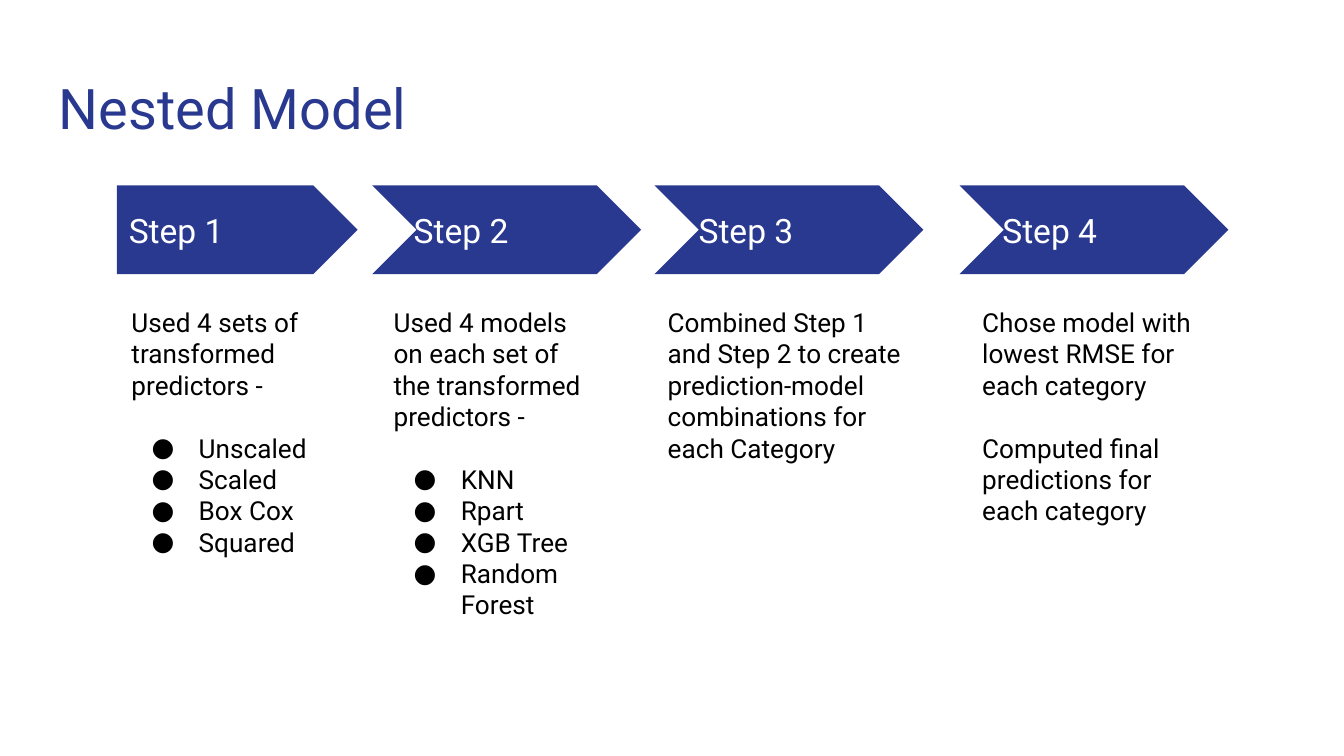
from dataclasses import dataclass

from lxml.etree import SubElement
from pptx import Presentation
from pptx.dml.color import RGBColor as RGB
from pptx.enum.shapes import MSO_SHAPE as Shape
from pptx.enum.text import MSO_ANCHOR as Anchor
from pptx.oxml.ns import qn
from pptx.util import Inches, Pt


@dataclass(frozen=True)
class Theme:
    font: str = "Roboto"
    blue: RGB = RGB(0x2A, 0x39, 0x90)
    white: RGB = RGB(255, 255, 255)
    black: RGB = RGB(0, 0, 0)
    title: int = 30
    step: int = 18
    body: int = 14
    gap: float = 16.8  # one body line


class Deck:
    def __init__(self, theme, width, height):
        self.theme = theme
        self.file = Presentation()
        self.file.slide_width = Inches(width)
        self.file.slide_height = Inches(height)
        self.slide = self.file.slides.add_slide(self.file.slide_layouts[6])
        fill = self.slide.background.fill
        fill.solid()
        fill.fore_color.rgb = theme.white

    def text(self, box, lines, size, color, anchor=Anchor.TOP):
        frame = self.slide.shapes.add_textbox(*map(Inches, box)).text_frame
        frame.word_wrap = True
        frame.vertical_anchor = anchor
        frame.margin_left = frame.margin_right = Inches(0.1)
        frame.margin_top = frame.margin_bottom = Inches(0.1)
        frame.text = "\n".join(lines)
        for para in frame.paragraphs:
            para.font.name = self.theme.font
            para.font.size = Pt(size)
            para.font.color.rgb = color
        return frame.paragraphs

    def arrow(self, kind, box):
        shape = self.slide.shapes.add_shape(kind, *map(Inches, box))
        shape.shadow.inherit = False
        shape.adjustments[0] = 0.5
        shape.fill.solid()
        shape.fill.fore_color.rgb = self.theme.blue
        shape.line.fill.background()

    def bullet(self, para):
        props = para._p.get_or_add_pPr()
        props.set("marL", str(Inches(0.5)))
        props.set("indent", str(Inches(-0.35)))
        color = SubElement(props, qn("a:buClr"))
        SubElement(color, qn("a:srgbClr")).set("val", str(self.theme.black))
        SubElement(props, qn("a:buFont")).set("typeface", self.theme.font)
        SubElement(props, qn("a:buChar")).set("char", "●")
        # Text defaults come after the bullet in the schema
        props.append(props.find(qn("a:defRPr")))

    def notes(self, box, intro, items):
        paras = self.text(box, intro + items, self.theme.body, self.theme.black)
        # One line of space parts the introduction from what follows
        if len(paras) > 1:
            paras[0].space_after = Pt(self.theme.gap)
        for para in paras[len(intro):]:
            self.bullet(para)


# Arrow (left, width), label (left, width), notes (left, width, height), intro, bullets
STEPS = [
    ((0.87, 1.79), (0.86, 1.01), (0.88, 1.79, 2.04),
     ["Used 4 sets of transformed predictors -"],
     ["Unscaled", "Scaled", "Box Cox", "Squared"]),
    ((2.77, 2), (2.98, 1.64), (2.83, 1.72, 2.45),
     ["Used 4 models on each set of the transformed predictors -"],
     ["KNN", "Rpart", "XGB Tree", "Random Forest"]),
    ((4.87, 2), (5.1, 1.64), (4.87, 2, 2.12),
     ["Combined Step 1 and Step 2 to create prediction-model "
      "combinations for each Category"], []),
    ((7.14, 2), (7.36, 1.64), (7.21, 1.79, 2.94),
     ["Chose model with lowest RMSE for each category",
      "Computed final predictions for each category"], []),
]


def main():
    theme = Theme()
    deck = Deck(theme, 10, 10 * 9 / 16)

    # Title
    deck.text((0.34, 0.45, 9.32, 0.66), ["Nested Model"], theme.title, theme.blue)

    # Steps: arrow, label and notes
    for num, (arrow, label, notes, intro, items) in enumerate(STEPS, 1):
        kind = Shape.PENTAGON if num == 1 else Shape.CHEVRON
        deck.arrow(kind, (arrow[0], 1.38, arrow[1], 0.66))
        deck.text((label[0], 1.54, label[1], 0.34), [f"Step {num}"],
                  theme.step, theme.white, Anchor.MIDDLE)
        deck.notes((notes[0], 2.18, *notes[1:]), intro, items)

    deck.file.save("out.pptx")


if __name__ == "__main__":
    main()
